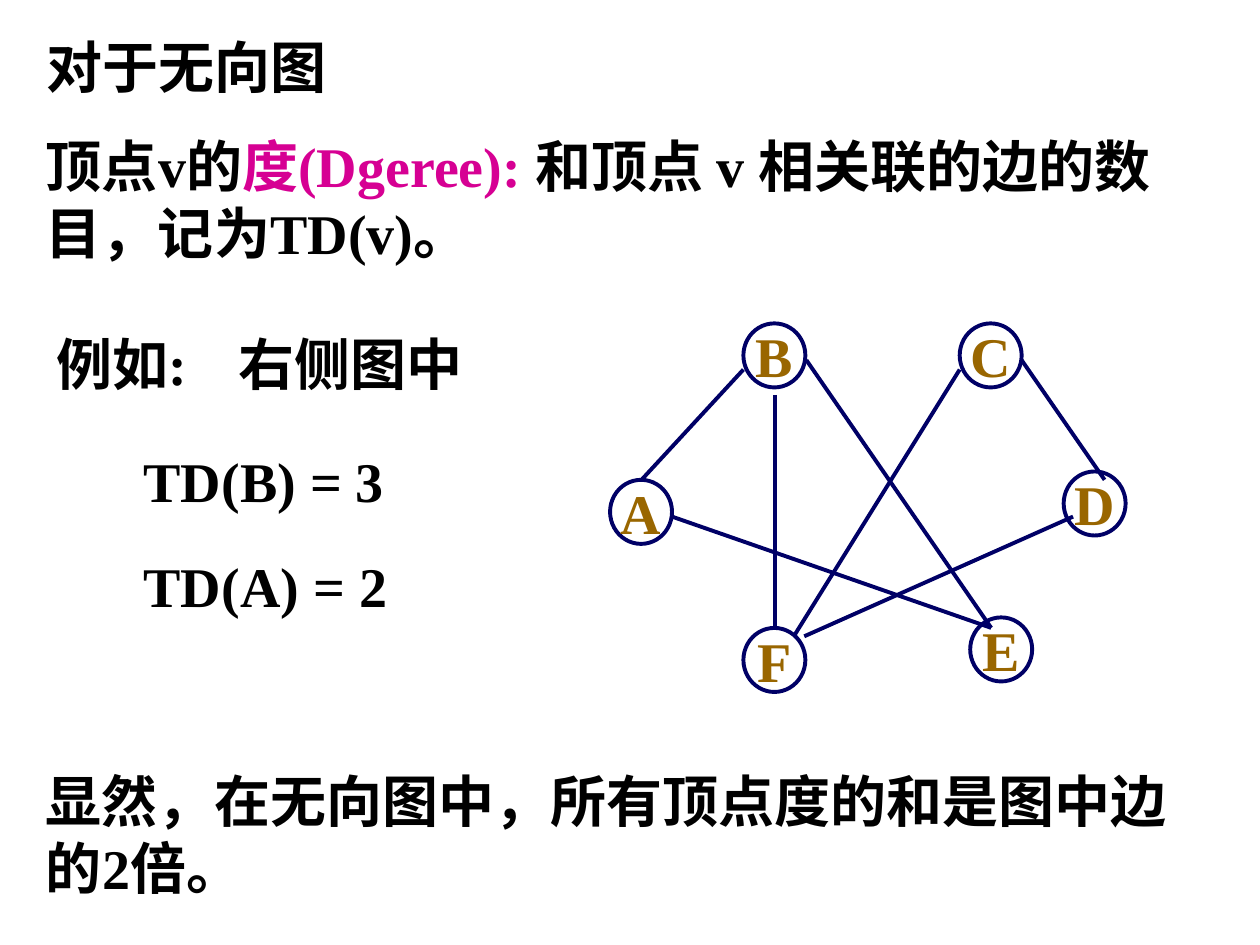
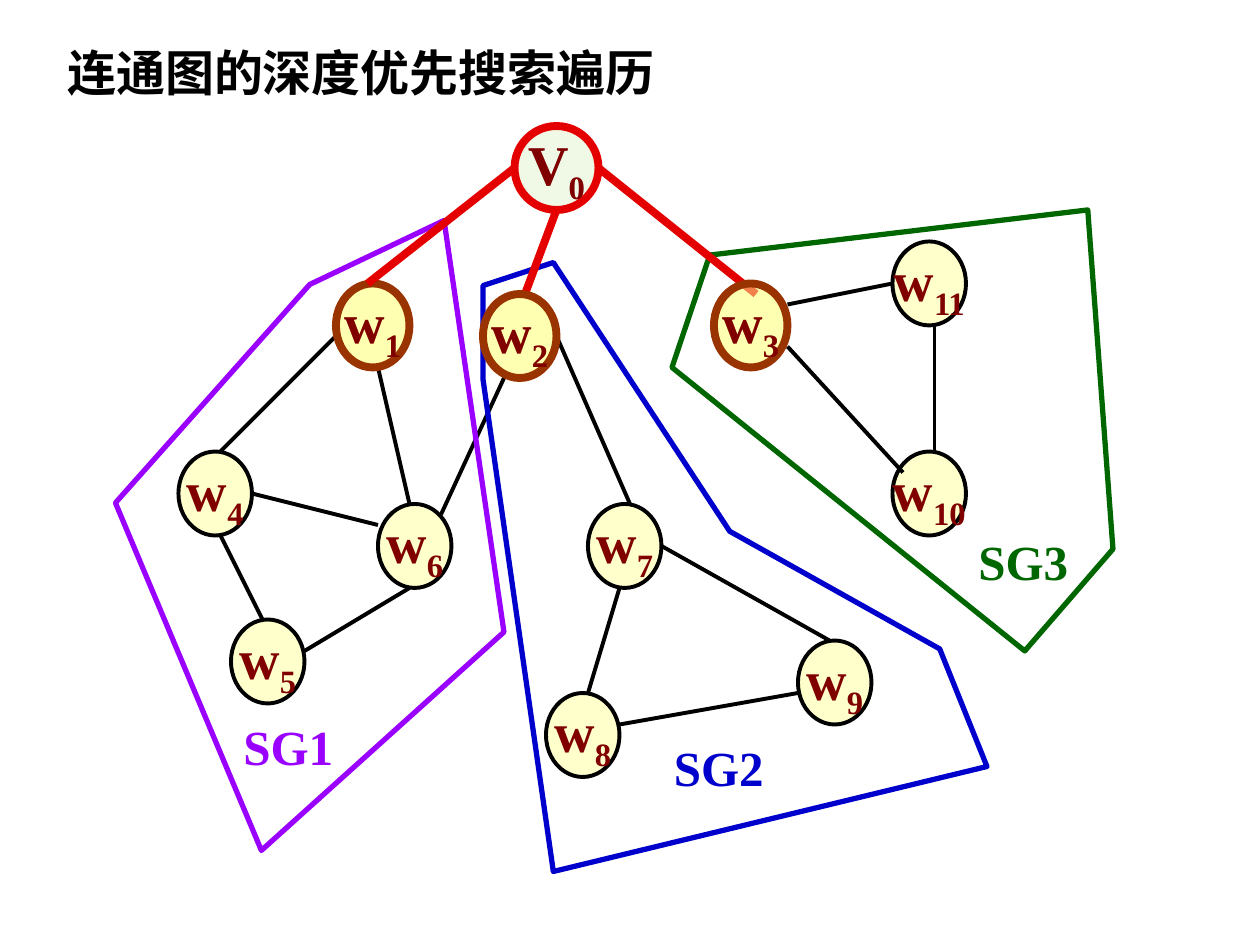
"""Build two slides on graphs: vertex degree and depth-first traversal."""
from lxml.etree import SubElement
from pptx import Presentation
from pptx.dml.color import RGBColor
from pptx.enum.shapes import MSO_CONNECTOR as LINE, MSO_SHAPE as SHAPE
from pptx.enum.text import MSO_ANCHOR as ANCHOR, MSO_AUTO_SIZE as FIT, PP_ALIGN as ALIGN
from pptx.oxml.ns import qn
from pptx.util import Inches, Pt

BLACK = RGBColor(0x00, 0x00, 0x00)
NAVY = RGBColor(0x00, 0x00, 0x66)
OCHRE = RGBColor(0x99, 0x66, 0x00)
MAGENTA = RGBColor(0xD6, 0x00, 0x93)
MAROON = RGBColor(0x80, 0x00, 0x00)
YELLOW = RGBColor(0xFF, 0xFF, 0x99)
PALE_BLUE = RGBColor(0xE1, 0xF4, 0xFF)
RED = RGBColor(0xE4, 0x00, 0x00)
BROWN = RGBColor(0x99, 0x33, 0x00)
PURPLE = RGBColor(0x99, 0x00, 0xFF)
BLUE = RGBColor(0x00, 0x00, 0xCC)
GREEN = RGBColor(0x00, 0x66, 0x00)
SERIF = "Times New Roman"
CELL = Inches(1) // 12


def add_vertex(slide, box, letter, index, ink, outline, weight, fill=None):
    vertex = slide.shapes.add_shape(SHAPE.OVAL, *[round(n * CELL) for n in box])
    vertex.shadow.inherit = False
    vertex.line.color.rgb = outline
    vertex.line.width = Pt(weight)
    if fill is None:
        vertex.fill.background()
    else:
        vertex.fill.solid()
        vertex.fill.fore_color.rgb = fill
        colour = vertex._element.spPr.find(qn("a:solidFill"))[0]
        SubElement(colour, qn("a:alpha")).set("val", "50000")
    frame = vertex.text_frame
    frame.word_wrap = False
    frame.vertical_anchor = ANCHOR.MIDDLE
    label = frame.paragraphs[0]
    label.alignment = ALIGN.CENTER
    label.font.name, label.font.size, label.font.bold = SERIF, Pt(32), True
    label.font.color.rgb = ink
    label.add_run().text = letter
    if index:
        subscript = label.add_run()
        subscript.text = index
        subscript._r.get_or_add_rPr().set("baseline", "-25000")


def add_edges(slide, edges, ink, weight):
    for ends in edges:
        edge = slide.shapes.add_connector(LINE.STRAIGHT, *[round(n * CELL) for n in ends])
        edge.line.color.rgb = ink
        edge.line.width = Pt(weight)
        SubElement(edge._element.spPr, qn("a:effectLst"))


deck = Presentation()
deck.slide_width, deck.slide_height = 120 * CELL, 90 * CELL
degree, traversal = [deck.slides.add_slide(deck.slide_layouts[5]) for _ in range(2)]

for slide, text, box, size, face in [
    (degree, "对于无向图", (3.2, 2.5, 31, 7.6), 32, SERIF),
    (traversal, "连通图的深度优先搜索遍历", (5.2, 3.4, 62.4, 6.8), 28, "Arial"),
]:
    title = slide.shapes.title
    title.left, title.top, title.width, title.height = [round(n * CELL) for n in box]
    frame = title.text_frame
    frame.text = text
    frame.word_wrap = True
    frame.auto_size = FIT.NONE
    frame.vertical_anchor = ANCHOR.TOP
    heading = frame.paragraphs[0]
    heading.alignment = ALIGN.LEFT
    heading.font.name, heading.font.size, heading.font.bold = face, Pt(size), True
    heading.font.color.rgb = BLACK

add_edges(degree, [
    (70.8, 35.2, 61.1, 45.7), (76.8, 34.3, 94.4, 59.8), (64, 49.2, 94.4, 59.8),
    (91.4, 35.2, 75.6, 60.6), (97.3, 34.3, 105.2, 45.7), (102.2, 49.2, 76.6, 60.6),
    (73.8, 37.6, 73.8, 59.8),
], NAVY, 2.25)
for letter, col, row in [
    ("A", 58.1, 45.7), ("B", 70.8, 30.8), ("C", 91.4, 30.8),
    ("D", 101.3, 44.9), ("E", 92.4, 58.8), ("F", 70.8, 59.8),
]:
    add_vertex(degree, (col, row, 5.9, 6.1), letter, "", OCHRE, NAVY, 2.25)

for index, col, row in [
    ("4", 17, 43), ("5", 22, 59), ("6", 36, 48), ("7", 56, 48),
    ("8", 52, 66), ("9", 76, 61), ("10", 85, 43), ("11", 85, 23),
]:
    add_vertex(traversal, (col, row, 7, 8), "w", index, MAROON, BLACK, 2.25, YELLOW)
add_edges(traversal, [
    (32, 32, 21, 43), (21, 51, 25, 59), (24, 47, 36, 50), (36, 35, 39, 48),
    (39, 56, 29, 62), (48, 36, 42, 49), (53, 32, 60, 48), (59, 56, 56, 66),
    (63, 52, 79, 61), (75, 33, 86, 45), (59, 69, 76, 66), (75, 29, 85, 27),
    (89, 31, 89, 43),
], BLACK, 2.25)

for ink, corners in [
    (PURPLE, [(42.3, 21), (48, 60.2), (24.9, 81), (11, 47.9), (29.5, 27.1)]),
    (BLUE, [(52.7, 25), (46, 27.2), (46, 36.1), (52.7, 83), (94, 73),
            (89.5, 61.8), (69.5, 50.6)]),
    (GREEN, [(67.6, 24.3), (64, 35), (97.6, 62), (106, 52.3), (103.6, 20)]),
]:
    points = [(round(x * CELL), round(y * CELL)) for x, y in corners]
    builder = traversal.shapes.build_freeform(*points[0])
    builder.add_line_segments(points[1:], close=True)
    subgraph = builder.convert_to_shape()
    subgraph.shadow.inherit = False
    subgraph.fill.background()
    subgraph.line.color.rgb = ink
    subgraph.line.width = Pt(3)

for root_fill, root_ink, child_ink, weight in [
    (YELLOW, BLACK, BLACK, 2),
    (PALE_BLUE, RED, BROWN, 4.5),
]:
    add_vertex(traversal, (49, 12, 8, 8), "V", "0", MAROON, root_ink, weight, root_fill)
    for index, col, row, tree_edges in [
        ("1", 32, 27, []),
        ("3", 68, 27, [(49, 16, 35, 27), (53, 20, 50, 28), (57, 16, 72, 28)]),
        ("2", 46, 28, []),
    ]:
        add_edges(traversal, tree_edges, root_ink, weight)
        add_vertex(traversal, (col, row, 7, 8), "w", index, MAROON, child_ink, weight, YELLOW)

for slide, box, size, runs in [
    (degree, (3.2, 11.9, 112.4, 14), 32, [
        ("顶点v的", BLACK), ("度(Dgeree): ", MAGENTA),
        ("和顶点 v 相关联的边的数目，记为TD(v)。", BLACK)]),
    (degree, (4.2, 30.8, 17.5, 7.6), 32, [("例如:", BLACK)]),
    (degree, (21.5, 30.8, 29, 7.6), 32, [("右侧图中", BLACK)]),
    (degree, (12.5, 41.9, 30, 7.6), 32, [("TD(B) = 3", BLACK)]),
    (degree, (12.5, 51.9, 30, 7.6), 32, [("TD(A) = 2", BLACK)]),
    (degree, (3.2, 72.4, 111.5, 14), 32, [
        ("显然，在无向图中，所有顶点度的和是图中边的2倍。", BLACK)]),
    (traversal, (22, 67.6, 12, 6.8), 28, [("SG1", PURPLE)]),
    (traversal, (63, 69.6, 12, 6.8), 28, [("SG2", BLUE)]),
    (traversal, (92, 50, 12, 6.8), 28, [("SG3", GREEN)]),
]:
    frame = slide.shapes.add_textbox(*[round(n * CELL) for n in box]).text_frame
    frame.word_wrap = True
    line = frame.paragraphs[0]
    line.font.name, line.font.size, line.font.bold = SERIF, Pt(size), True
    for text, ink in runs:
        run = line.add_run()
        run.text = text
        run.font.color.rgb = ink

deck.save("out.pptx")
